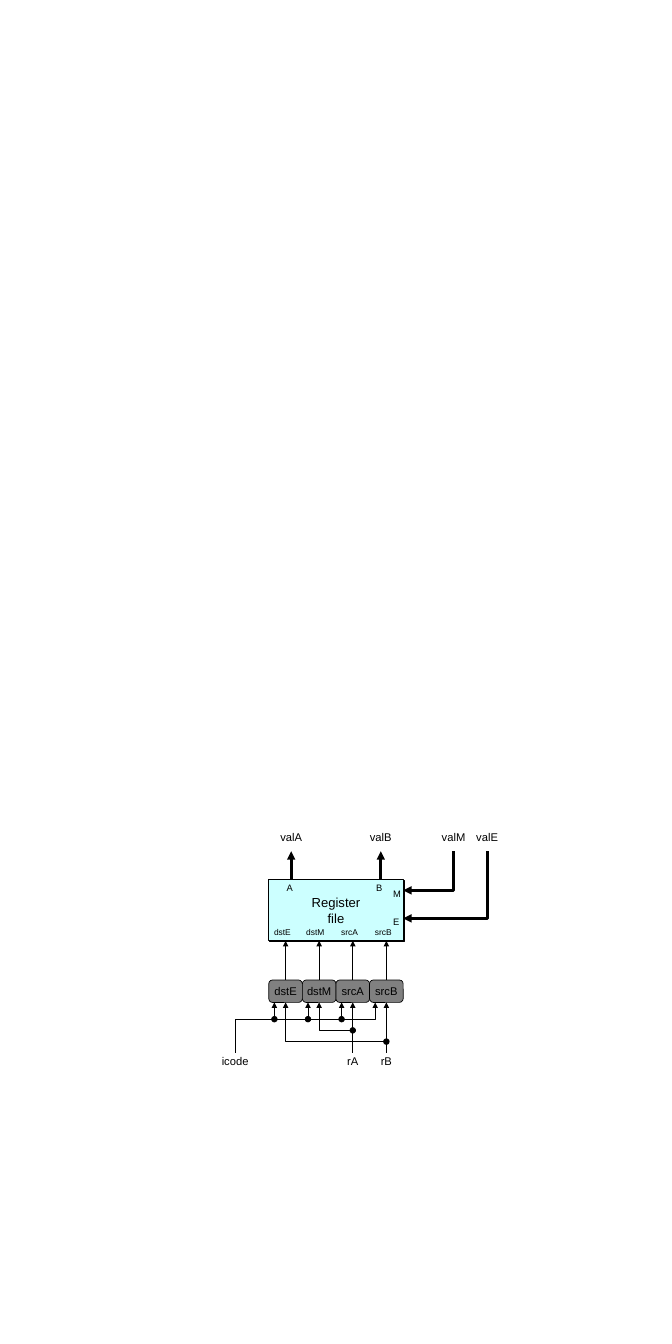
from lxml import etree
from pptx import Presentation
from pptx.dml.color import RGBColor
from pptx.enum.shapes import MSO_CONNECTOR, MSO_SHAPE
from pptx.enum.text import MSO_ANCHOR, PP_ALIGN
from pptx.oxml.ns import qn
from pptx.util import Pt

PX = 9525  # EMU per px, 96 px to the inch
RECT, ROUND, OVAL = MSO_SHAPE.RECTANGLE, MSO_SHAPE.ROUNDED_RECTANGLE, MSO_SHAPE.OVAL
STRAIGHT = MSO_CONNECTOR.STRAIGHT
MIDDLE, TOP = MSO_ANCHOR.MIDDLE, MSO_ANCHOR.TOP
CENTER, RIGHT, LEFT = PP_ALIGN.CENTER, PP_ALIGN.RIGHT, PP_ALIGN.LEFT
BLACK, GREY, CYAN = "000000", "808080", "CCFFFF"
rgb = RGBColor.from_string

prs = Presentation()
prs.slide_width, prs.slide_height = 960 * PX, 1920 * PX
shapes = prs.slides.add_slide(prs.slide_layouts[6]).shapes


def add_node(kind, x, y, w, h, lines=(), size=12, fill=None, align=CENTER, anchor=MIDDLE):
    """Add a shape with one paragraph per line; it is outlined only when filled."""
    sp = shapes.add_shape(kind, x * PX, y * PX, w * PX, h * PX)
    sp.shadow.inherit = False
    if fill:
        sp.fill.solid()
        sp.fill.fore_color.rgb = rgb(fill)
        sp.line.color.rgb = rgb(BLACK)
        sp.line.width = Pt(0.75)
    else:
        sp.fill.background()
        sp.line.fill.background()
    tf = sp.text_frame
    tf.word_wrap = False
    tf.vertical_anchor = anchor
    for i, text in enumerate(lines):
        p = tf.add_paragraph() if i else tf.paragraphs[0]
        p.alignment = align
        r = p.add_run()
        r.text = text
        r.font.name = "Arial"
        r.font.size = Pt(size)
        r.font.color.rgb = rgb(BLACK)
    return sp


def add_wire(points, width=1):
    """Add a line through the points with an arrowhead at the last one."""
    start, *rest = [(x * PX, y * PX) for x, y in points]
    if len(rest) == 1:
        s = shapes.add_connector(STRAIGHT, *start, *rest[0])
    else:
        builder = shapes.build_freeform(*start)
        builder.add_line_segments(rest, close=False)
        s = builder.convert_to_shape()
        s.fill.background()
    s.line.color.rgb = rgb(BLACK)
    s.line.width = Pt(width)
    etree.SubElement(s.line._get_or_add_ln(), qn("a:tailEnd"), type="triangle")
    etree.SubElement(s._element.spPr, qn("a:effectLst"))


# Register file with its hard shadow
register_file = add_node(RECT, 384, 1256, 192, 88, ["Register", "file"], 14, CYAN)
effects = register_file._element.spPr.find(qn("a:effectLst"))
shadow = etree.SubElement(effects, qn("a:outerShdw"), dist=str(Pt(1.4)), dir="2700000")
etree.SubElement(shadow, qn("a:srgbClr"), val=BLACK)

# Data port names
for port, x, y in [("A", 400, 1255), ("B", 528, 1255), ("M", 552, 1264), ("E", 552, 1304)]:
    add_node(RECT, x, y, 32, 26, [port], 10, align=LEFT, anchor=TOP)

# Register ID blocks and the ports they feed
for i, name in enumerate(["dstE", "dstM", "srcA", "srcB"]):
    x = 384 + 48 * i
    add_node(OVAL, x, 1312, 48, 40, [name], 9, align=RIGHT)
    add_node(ROUND, x, 1400, 48, 32, [name], 12, GREY)
    add_wire([(x + 24, 1400), (x + 24, 1344)])

# Signal names
for signal, x, y in [("valA", 416, 1216), ("valB", 544, 1216), ("valM", 648, 1216),
                     ("valE", 696, 1216), ("icode", 336, 1536), ("rA", 504, 1536),
                     ("rB", 552, 1536)]:
    add_node(OVAL, x - 24, y - 40, 48, 40, [signal])

# Values read and written
for x in (416, 544):
    add_wire([(x, 1256), (x, 1216)], 3)
for x, y in [(648, 1272), (696, 1312)]:
    add_wire([(x, 1216), (x, y), (576, y)], 3)

# rA and rB each feed a source block and branch to a destination block
for x, branch_x, y in [(504, 456, 1472), (552, 408, 1488)]:
    add_wire([(x, 1504), (x, 1432)])
    add_wire([(x, y), (branch_x, y), (branch_x, 1432)])
    add_node(OVAL, x - 4, y - 4, 8, 8, fill=BLACK)

# icode feeds all four blocks
add_wire([(336, 1504), (336, 1456), (536, 1456), (536, 1432)])
for x in (392, 440, 488):
    add_wire([(x, 1456), (x, 1432)])
    add_node(OVAL, x - 4, 1452, 8, 8, fill=BLACK)

prs.save("out.pptx")
